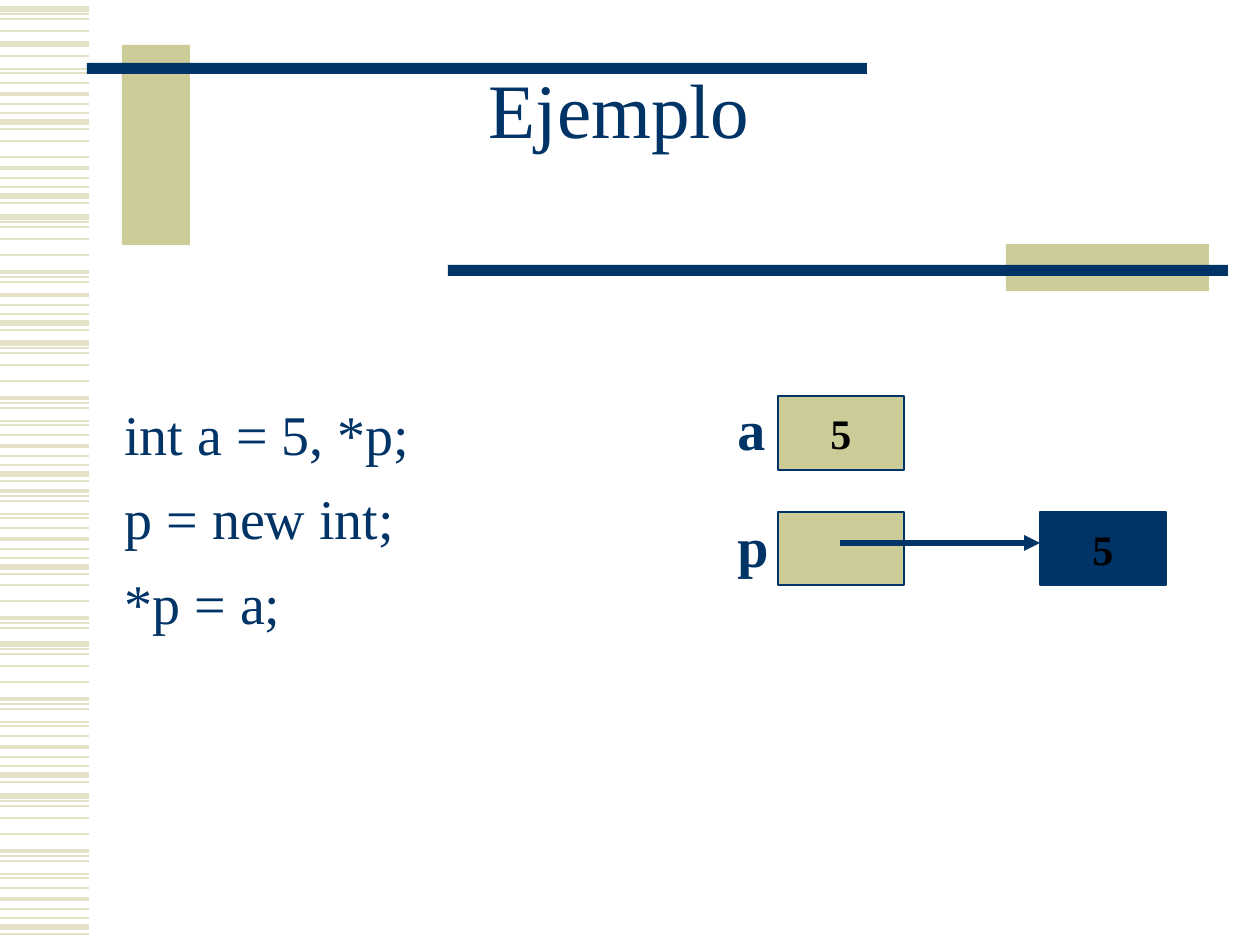
"""Build the pointer example slide with its striped margin."""
from typing import NamedTuple

import lxml.etree
import pptx
import pptx.dml.color
import pptx.enum.shapes
import pptx.enum.text
import pptx.oxml
import pptx.oxml.ns
import pptx.util

EMU_PER_PX = 914400 // 126
FONT = "Times New Roman"
NAVY = pptx.dml.color.RGBColor(0x00, 0x33, 0x66)
KHAKI = pptx.dml.color.RGBColor(0xCC, 0xCC, 0x99)
PALE = pptx.dml.color.RGBColor(0xE3, 0xE2, 0xC7)
BLACK = pptx.dml.color.RGBColor(0x00, 0x00, 0x00)
ALIGN = pptx.enum.text.PP_ALIGN
ANCHOR = pptx.enum.text.MSO_ANCHOR
AUTO_SIZE = pptx.enum.text.MSO_AUTO_SIZE


class Box(NamedTuple):
    left: int
    top: int
    width: int
    height: int


class Stripe(NamedTuple):
    offset: int
    weight: float


class StripeRun(NamedTuple):
    origin: int
    first: int
    stop: int


class Bar(NamedTuple):
    box: Box
    color: pptx.dml.color.RGBColor


class Cell(NamedTuple):
    box: Box
    color: pptx.dml.color.RGBColor
    value: str


class Label(NamedTuple):
    box: Box
    text: str


PATTERN = [
    Stripe(0, 3), Stripe(5, 0.75), Stripe(10, 1), Stripe(22, 1),
    Stripe(38, 1), Stripe(55, 2.25), Stripe(60, 0.75), Stripe(65, 1.5),
    Stripe(78, 0.75), Stripe(82, 1.5), Stripe(92, 1), Stripe(103, 2.25),
    Stripe(113, 1.5), Stripe(122, 0.75), Stripe(131, 3), Stripe(138, 1.5),
]
STRIPE_RUNS = [
    StripeRun(9, 0, 4), StripeRun(44, 0, 1), StripeRun(-9, 7, 16),
    StripeRun(103, 4, 5), StripeRun(65, 10, 16), StripeRun(217, 0, 8),
    StripeRun(192, 11, 16), StripeRun(343, 0, 16), StripeRun(436, 5, 16),
    StripeRun(563, 3, 8), StripeRun(644, 0, 16), StripeRun(796, 0, 16),
]
BARS = [
    Bar(Box(122, 45, 68, 200), KHAKI),
    Bar(Box(87, 63, 780, 11), NAVY),
    Bar(Box(1006, 244, 203, 47), KHAKI),
    Bar(Box(448, 265, 780, 11), NAVY),
]
CELLS = [
    Cell(Box(778, 396, 126, 74), KHAKI, "5"),
    Cell(Box(778, 512, 126, 73), KHAKI, ""),
    Cell(Box(1040, 512, 126, 73), NAVY, "5"),
]
LABELS = [Label(Box(725, 388, 53, 81), "a"), Label(Box(725, 505, 57, 81), "p")]
CODE = ["int a = 5, *p;", "p = new int;", "*p = a;"]


def px(n: int) -> pptx.util.Emu:
    return pptx.util.Emu(n * EMU_PER_PX)


def place(box: Box) -> list[pptx.util.Emu]:
    return [px(n) for n in box]


def write(tf, lines: list[str], size: int, color, bold: bool = False,
          align=ALIGN.LEFT, space: int = 0) -> None:
    for i, line in enumerate(lines):
        p = tf.add_paragraph() if i else tf.paragraphs[0]
        p.text = line
        p.alignment = align
        if i:
            p.space_before = pptx.util.Pt(space)
        p.font.name = FONT
        p.font.size = pptx.util.Pt(size)
        p.font.bold = bold
        p.font.color.rgb = color


def add_text(s, box: Box, wrap: bool = True):
    tf = s.shapes.add_textbox(*place(box)).text_frame
    tf.word_wrap = wrap
    return tf


def add_rect(s, box: Box, color):
    sp = s.shapes.add_shape(pptx.enum.shapes.MSO_SHAPE.RECTANGLE, *place(box))
    sp.shadow.inherit = False
    sp.fill.solid()
    sp.fill.fore_color.rgb = color
    sp.line.fill.background()
    return sp


def add_line(s, x1: int, x2: int, y: int, color, weight: float):
    sp = s.shapes.add_connector(
        pptx.enum.shapes.MSO_CONNECTOR.STRAIGHT, px(x1), px(y), px(x2), px(y))
    sp.line.color.rgb = color
    sp.line.width = pptx.util.Pt(weight)
    lxml.etree.SubElement(sp._element.spPr, pptx.oxml.ns.qn("a:effectLst"))
    return sp


def add_arrow(s, x1: int, x2: int, y: int) -> None:
    ln = add_line(s, x1, x2, y, NAVY, 3).line._get_or_add_ln()
    lxml.etree.SubElement(ln, pptx.oxml.ns.qn("a:tailEnd"), type="triangle")


def add_cell(s, cell: Cell) -> None:
    sp = add_rect(s, cell.box, cell.color)
    sp.line.color.rgb = NAVY
    sp.line.width = pptx.util.Pt(1)
    if cell.value:
        tf = sp.text_frame
        tf.word_wrap = False
        tf.vertical_anchor = ANCHOR.MIDDLE
        write(tf, [cell.value], 24, BLACK, bold=True, align=ALIGN.CENTER)


def add_label(s, label: Label) -> None:
    tf = add_text(s, label.box, wrap=False)
    tf.auto_size = AUTO_SIZE.SHAPE_TO_FIT_TEXT
    write(tf, [label.text], 32, NAVY, bold=True)


def main() -> None:
    prs = pptx.Presentation()
    prs.slide_width = pptx.util.Inches(10)
    prs.slide_height = pptx.util.Inches(7.5)
    s = prs.slides.add_slide(prs.slide_layouts[6])

    for run in STRIPE_RUNS:
        for stripe in PATTERN[run.first:run.stop]:
            add_line(s, 0, 89, run.origin + stripe.offset, PALE, stripe.weight)
    for bar in BARS:
        add_rect(s, bar.box, bar.color)

    tf = add_text(s, Box(84, 31, 1071, 168))
    tf.vertical_anchor = ANCHOR.MIDDLE
    write(tf, ["Ejemplo"], 44, NAVY, align=ALIGN.CENTER)
    tf.paragraphs[0].line_spacing = 0.85
    write(add_text(s, Box(112, 393, 600, 446)), CODE, 32, NAVY, space=10)

    for cell in CELLS:
        add_cell(s, cell)
    for label in LABELS:
        add_label(s, label)
    add_arrow(s, 840, 1040, 543)
    prs.save("out.pptx")


if __name__ == "__main__":
    main()
